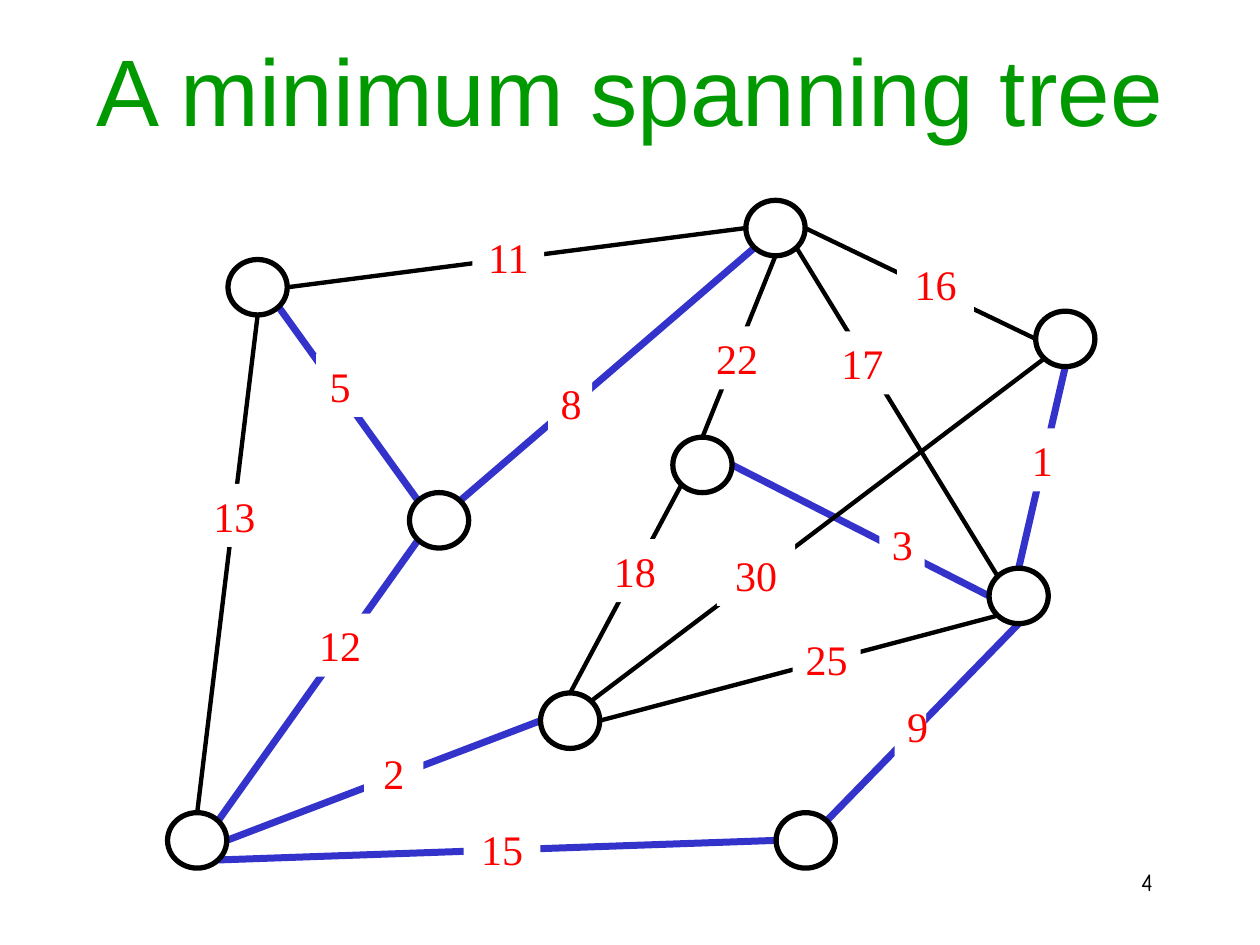
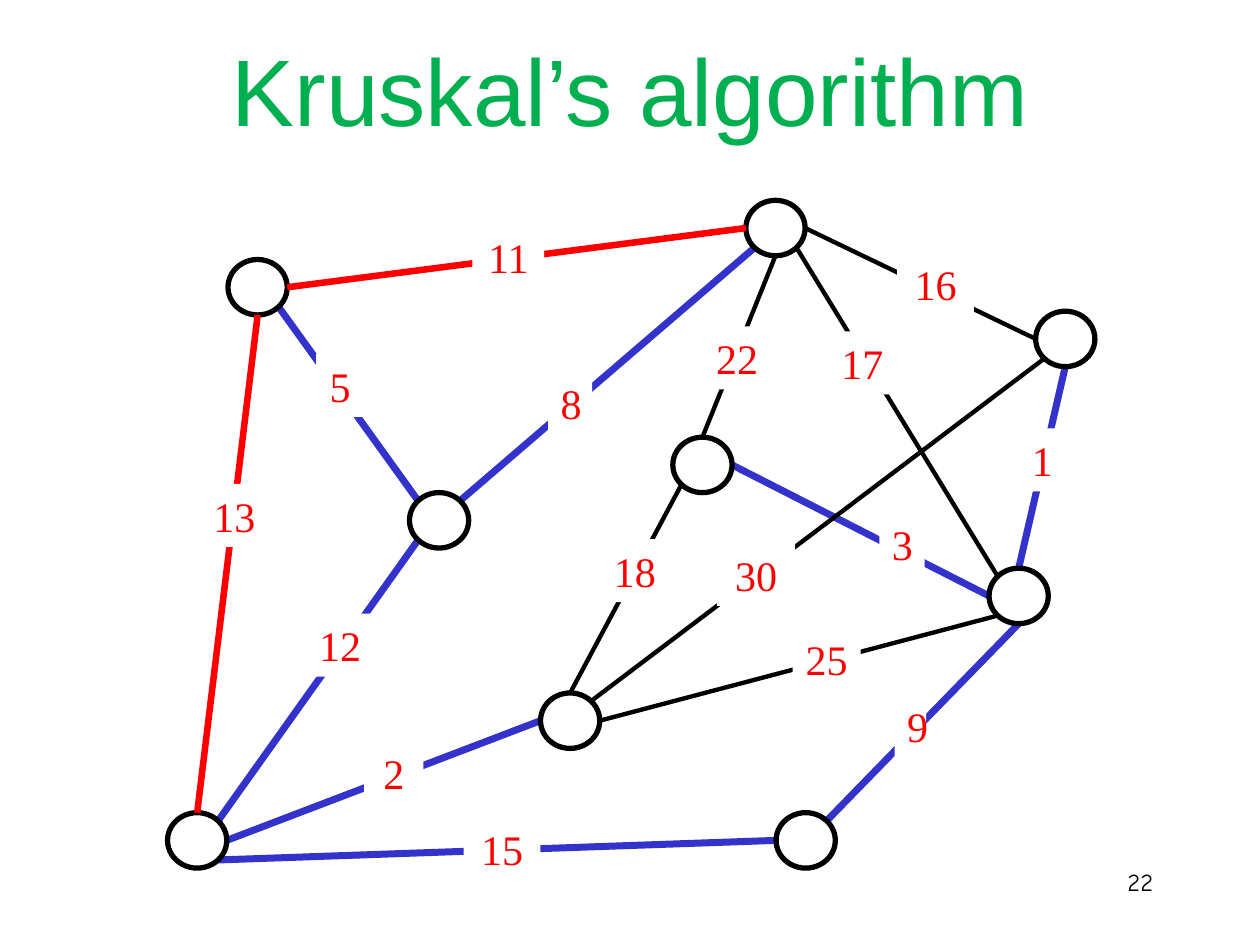
import math
from collections import namedtuple

import pptx
import pptx.util
import pptx.dml.color
import pptx.enum.shapes
import pptx.enum.text
import pptx.oxml

PX = 9144
BLACK = pptx.dml.color.RGBColor(0x00, 0x00, 0x00)
WHITE = pptx.dml.color.RGBColor(0xFF, 0xFF, 0xFF)
RED = pptx.dml.color.RGBColor(0xFF, 0x00, 0x00)
TREE_BLUE = pptx.dml.color.RGBColor(0x33, 0x33, 0xCC)
TITLE_GREEN = pptx.dml.color.RGBColor(0x00, 0x99, 0x00)
KRUSKAL_GREEN = pptx.dml.color.RGBColor(0x00, 0xB0, 0x50)

Box = namedtuple("Box", "left top width height")
Edge = namedtuple("Edge", "weight start start_side end end_side label")

TITLE_BOX = Box(0, 20, 1000, 101)
GRAPH_BOX = Box(133, 159, 736, 530)
NUMBER_BOX = Box(717, 683, 208, 50)

NODE_WIDTH, NODE_HEIGHT = 47, 44
NODES = {
    "hub": (192, 232),
    "northwest": (48, 47),
    "east": (689, 88),
    "south": (296, 391),
    "southwest": (0, 486),
    "middle": (401, 188),
    "southeast": (652, 292),
    "north": (459, 0),
    "base": (483, 486),
}
SIDE_ANGLES = {
    "right": 0, "bottom right": 45, "bottom": 90, "bottom left": 135,
    "left": 180, "top left": 225, "top": 270, "top right": 315,
}
EDGES = [
    Edge(5, "northwest", "bottom right", "hub", "top left", Box(118, 122, 38, 50)),
    Edge(8, "north", "bottom left", "hub", "top right", Box(302, 136, 35, 50)),
    Edge(1, "east", "bottom", "southeast", "top", Box(676, 181, 32, 50)),
    Edge(3, "middle", "right", "southeast", "left", Box(565, 248, 36, 50)),
    Edge(2, "south", "left", "southwest", "right", Box(156, 429, 47, 79)),
    Edge(15, "base", "left", "southwest", "bottom right", Box(235, 490, 61, 50)),
    Edge(9, "base", "top right", "southeast", "bottom", Box(577, 392, 25, 50)),
    Edge(12, "hub", "bottom left", "southwest", "top right", Box(110, 328, 54, 50)),
    Edge(11, "northwest", "right", "north", "left", Box(242, 20, 57, 50)),
    Edge(13, "northwest", "bottom", "southwest", "top", Box(24, 225, 58, 50)),
    Edge(25, "southeast", "bottom left", "south", "right", Box(496, 339, 54, 50)),
    Edge(30, "east", "bottom left", "south", "top right", Box(436, 272, 62, 50)),
    Edge(17, "north", "bottom right", "southeast", "top left", Box(521, 104, 61, 50)),
    Edge(18, "middle", "bottom left", "south", "top", Box(343, 269, 56, 50)),
    Edge(16, "north", "right", "east", "left", Box(579, 41, 61, 50)),
    Edge(22, "north", "bottom", "middle", "top", Box(424, 100, 56, 50)),
]
TREE_WEIGHTS = {1, 2, 3, 5, 8, 9, 12, 15}


def to_emu(*lengths):
    """Turn px lengths into EMU."""
    return [round(length * PX) for length in lengths]


def inside(box, part):
    """Move a part from coordinates within a box to the page."""
    return Box(box.left + part.left, box.top + part.top, part.width, part.height)


def write_line(frame, text, font_name, size, color, alignment):
    """Fill a text frame with one formatted paragraph."""
    frame.word_wrap = True
    para = frame.paragraphs[0]
    para.text = text
    para.alignment = alignment
    para.font.name = font_name
    para.font.size = pptx.util.Pt(size)
    para.font.color.rgb = color


def add_title(page, box, text, color):
    """Place and format the title placeholder."""
    title = page.shapes.title
    title.left, title.top, title.width, title.height = to_emu(*box)
    title.text_frame.vertical_anchor = pptx.enum.text.MSO_ANCHOR.MIDDLE
    write_line(title.text_frame, text, "Arial", 54, color,
               pptx.enum.text.PP_ALIGN.CENTER)


def add_page_number(page, box, number):
    """Write the page number at the right of its box."""
    shape = page.shapes.add_textbox(*to_emu(*box))
    write_line(shape.text_frame, str(number), "Comic Neue", 14, BLACK,
               pptx.enum.text.PP_ALIGN.RIGHT)


def rim_point(box, node, side):
    """Find the point on a node's rim that faces the given side."""
    left, top = NODES[node]
    angle = math.radians(SIDE_ANGLES[side])
    return (box.left + left + NODE_WIDTH / 2 * (1 + math.cos(angle)),
            box.top + top + NODE_HEIGHT / 2 * (1 + math.sin(angle)))


def add_edge(page, box, edge, color, width):
    """Join two nodes with a straight line."""
    start = rim_point(box, edge.start, edge.start_side)
    end = rim_point(box, edge.end, edge.end_side)
    line = page.shapes.add_connector(
        pptx.enum.shapes.MSO_CONNECTOR.STRAIGHT, *to_emu(*start, *end))
    line.line.color.rgb = color
    line.line.width = pptx.util.Pt(width)
    properties = line._element.spPr
    properties.append(properties.makeelement(pptx.oxml.ns.qn("a:effectLst"), {}))


def add_node(page, box):
    """Draw one hollow node."""
    node = page.shapes.add_shape(pptx.enum.shapes.MSO_SHAPE.OVAL, *to_emu(*box))
    node.shadow.inherit = False
    node.fill.background()
    node.line.color.rgb = BLACK
    node.line.width = pptx.util.Pt(3)


def add_weight(page, box, weight):
    """Write an edge weight on a white patch."""
    patch = page.shapes.add_shape(
        pptx.enum.shapes.MSO_SHAPE.RECTANGLE, *to_emu(*box))
    patch.shadow.inherit = False
    patch.fill.solid()
    patch.fill.fore_color.rgb = WHITE
    patch.line.fill.background()
    patch.text_frame.vertical_anchor = pptx.enum.text.MSO_ANCHOR.TOP
    write_line(patch.text_frame, str(weight), "Times New Roman", 24, RED,
               pptx.enum.text.PP_ALIGN.CENTER)


def add_graph(page, box, rejected):
    """Draw the weighted graph with its tree and rejected edges coloured."""
    for edge in EDGES:
        if edge.weight in TREE_WEIGHTS:
            add_edge(page, box, edge, TREE_BLUE, 4)
    for left, top in NODES.values():
        add_node(page, inside(box, Box(left, top, NODE_WIDTH, NODE_HEIGHT)))
    for edge in EDGES:
        if edge.weight in rejected:
            add_edge(page, box, edge, RED, 3.75)
        elif edge.weight not in TREE_WEIGHTS:
            add_edge(page, box, edge, BLACK, 2.5)
    for edge in EDGES:
        add_weight(page, inside(box, edge.label), edge.weight)


def add_graph_page(deck, title, title_color, number, rejected):
    """Add a page with a title, the graph and a page number."""
    page = deck.slides.add_slide(deck.slide_layouts[5])
    add_graph(page, GRAPH_BOX, rejected)
    add_title(page, TITLE_BOX, title, title_color)
    add_page_number(page, NUMBER_BOX, number)


def main():
    """Build and save the deck."""
    deck = pptx.Presentation()
    deck.slide_width, deck.slide_height = to_emu(1000, 750)
    add_graph_page(deck, "A minimum spanning tree", TITLE_GREEN, 4, set())
    add_graph_page(deck, "Kruskal’s algorithm", KRUSKAL_GREEN, 22, {11, 13})
    deck.save("out.pptx")


if __name__ == "__main__":
    main()
